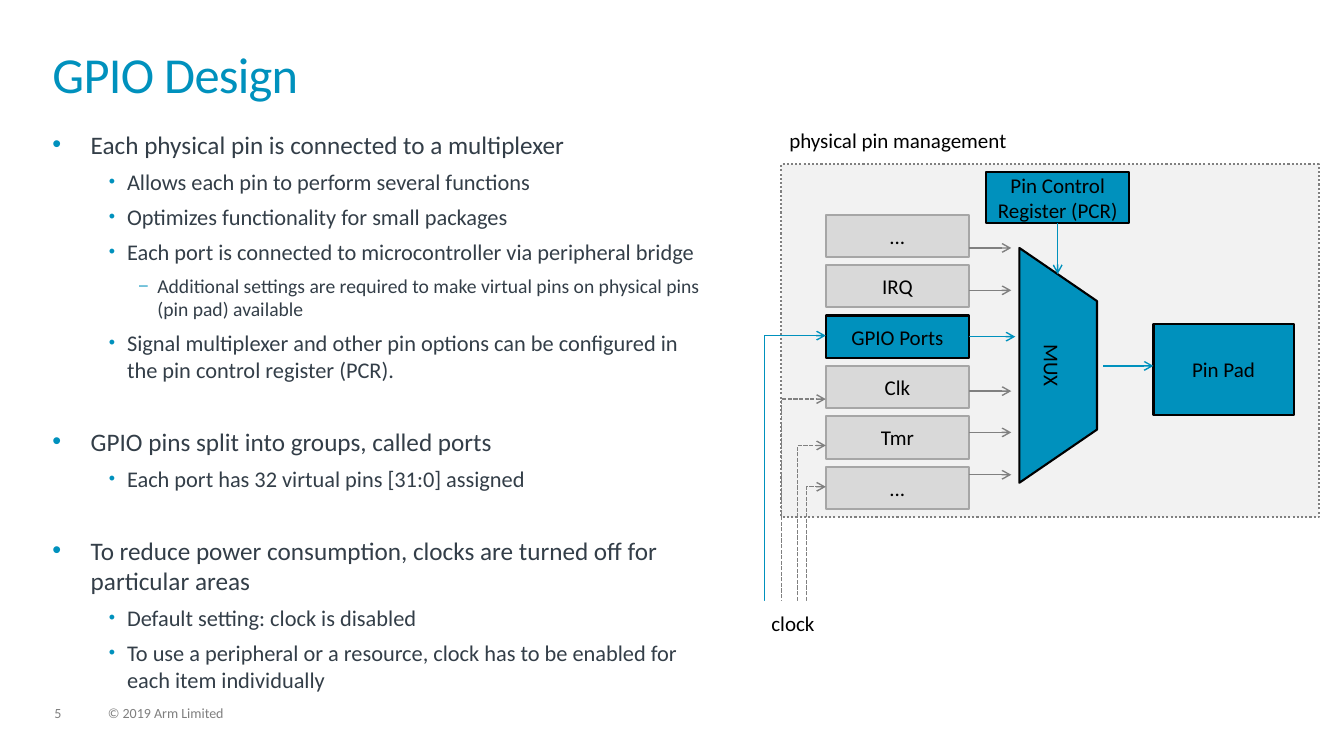
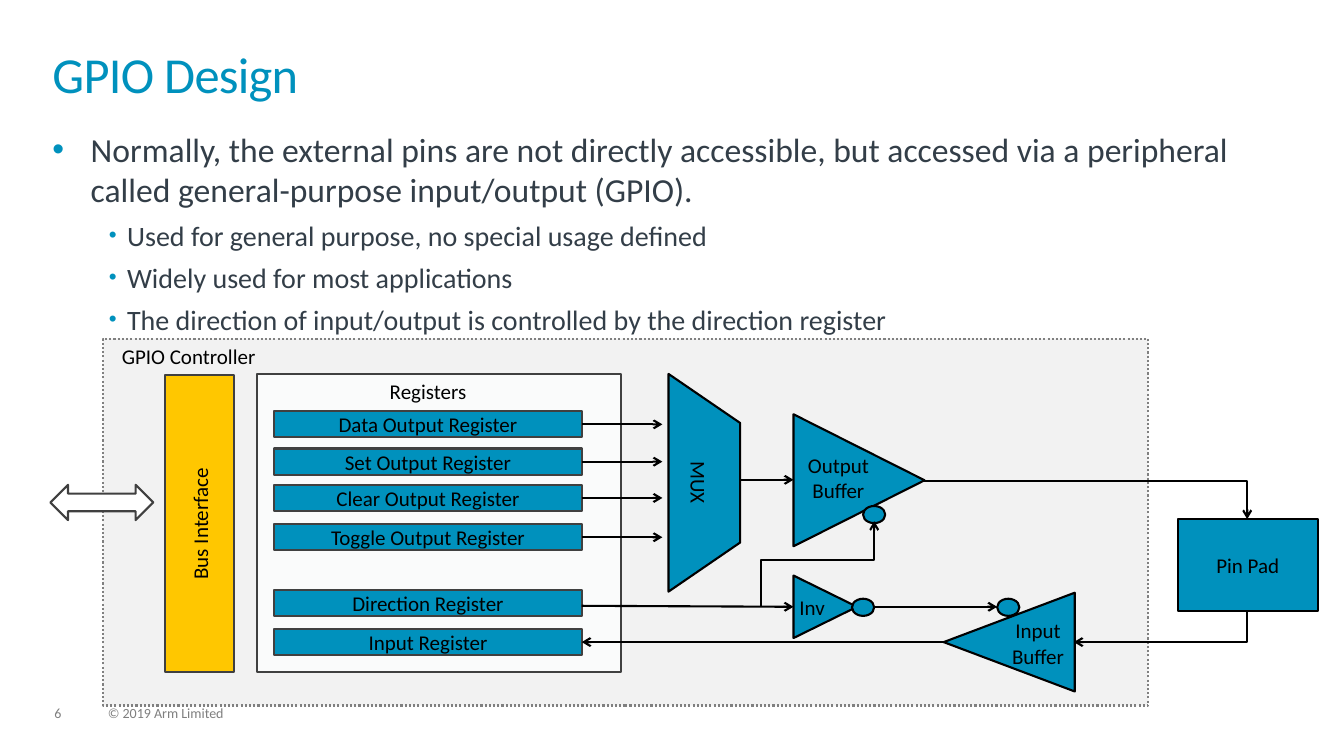
from dataclasses import dataclass
from typing import Any

from lxml import etree
from pptx import Presentation
from pptx import util as u
from pptx.dml import color
from pptx.enum import dml, shapes, text
from pptx.oxml import ns

FONT = "Calibri"
BLUE, YELLOW, WHITE, BLACK = "0091BD", "FFC700", "FFFFFF", "000000"
BODY_TEXT, FOOTER_TEXT, OUTLINE = "333E48", "7F7F7F", "404040"
PANEL, REGISTER_PANEL = "F2F2F2", "FAFBFB"
MUTED, MUTED_EDGE, GRAY = "D9D9D9", "A6A6A6", "808080"
DOTTED, DASHED = dml.MSO_LINE.ROUND_DOT, dml.MSO_LINE.SQUARE_DOT
SHAPE = shapes.MSO_SHAPE
CENTER, LEFT = text.PP_ALIGN.CENTER, text.PP_ALIGN.LEFT
BOTTOM_SIDE, RIGHT_SIDE = 2, 3
LABEL_SIZE = 15
BULLETS = [("•", 0.38, 0.38, 100), ("•", 0.74, 0.18, 80), ("–", 1.04, 0.18, 80)]


def rgb(value):
    return color.RGBColor.from_string(value)


def child(parent, tag, **attributes):
    return etree.SubElement(parent, ns.qn(tag), attributes)


def style_runs(paragraph, size, hex_color):
    for run in paragraph.runs:
        run.font.name = FONT
        run.font.size = u.Pt(size)
        run.font.color.rgb = rgb(hex_color)


def write(frame, content, size=LABEL_SIZE, hex_color=BLACK, align=LEFT):
    frame.text = content
    for paragraph in frame.paragraphs:
        paragraph.alignment = align
        style_runs(paragraph, size, hex_color)


def remove_insets(frame):
    frame.margin_left = frame.margin_right = 0
    frame.margin_top = frame.margin_bottom = 0


def add_text_area(slide, left, top, width, height):
    area = slide.shapes.add_textbox(*map(u.Inches, (left, top, width, height)))
    remove_insets(area.text_frame)
    area.text_frame.word_wrap = True
    return area.text_frame


@dataclass
class Region:
    slide: Any
    left: float
    top: float

    def point(self, x, y):
        return u.Inches(self.left + x), u.Inches(self.top + y)

    def block(self, box, content="", fill=BLUE, edge=BLACK, kind=SHAPE.RECTANGLE, angle=0):
        left, top, width, height = box
        if angle in (90, 270):
            left, top = left + (width - height) / 2, top + (height - width) / 2
            width, height = height, width
        shape = self.slide.shapes.add_shape(
            kind, *self.point(left, top), u.Inches(width), u.Inches(height))
        shape.rotation = angle
        shape.shadow.inherit = False
        shape.fill.solid()
        shape.fill.fore_color.rgb = rgb(fill)
        if edge:
            shape.line.color.rgb = rgb(edge)
            shape.line.width = u.Pt(1.5)
        else:
            shape.line.fill.background()
        if content:
            frame = shape.text_frame
            frame.word_wrap = False
            frame.vertical_anchor = text.MSO_ANCHOR.MIDDLE
            write(frame, content, align=CENTER)
        return shape

    def panel(self, width, height):
        shape = self.block((0, 0, width, height), fill=PANEL, edge=GRAY)
        shape.line.dash_style = DOTTED

    def mux(self, box):
        shape = self.block(box, "MUX", kind=SHAPE.TRAPEZOID, angle=90)
        shape.adjustments[0] = 0.685

    def pin_pad(self, left, top):
        self.block((left, top, 1.39, 0.91), "Pin Pad")

    def label(self, box, content, align=LEFT):
        left, top, width, height = box
        shape = self.slide.shapes.add_textbox(
            *self.point(left, top), u.Inches(width), u.Inches(height))
        shape.text_frame.word_wrap = True
        write(shape.text_frame, content, align=align)

    def connector(self, kind, start, end, hex_color, width, dash):
        line = self.slide.shapes.add_connector(kind, *self.point(*start), *self.point(*end))
        line.line.color.rgb = rgb(hex_color)
        line.line.width = u.Pt(width)
        if dash:
            line.line.dash_style = dash
        properties = line._element.spPr
        child(properties.find(ns.qn("a:ln")), "a:tailEnd", type="arrow")
        child(properties, "a:effectLst")
        return line

    def arrow(self, start, end, hex_color=BLACK, width=1.5):
        return self.connector(
            shapes.MSO_CONNECTOR.STRAIGHT, start, end, hex_color, width, None)

    def elbow(self, start, end, hex_color=BLACK, width=1.5, dash=None,
              vertical_first=True, bend=None):
        if vertical_first:
            (x1, y1), (x2, y2) = start, end
            middle_x, middle_y = (x1 + x2) / 2, (y1 + y2) / 2
            half_run, half_rise = (y2 - y1) / 2, (x1 - x2) / 2
            start = middle_x - half_run, middle_y - half_rise
            end = middle_x + half_run, middle_y + half_rise
        line = self.connector(
            shapes.MSO_CONNECTOR.ELBOW, start, end, hex_color, width, dash)
        properties = line._element.spPr
        if vertical_first:
            properties.find(ns.qn("a:xfrm")).set("rot", "5400000")
        geometry = properties.find(ns.qn("a:prstGeom"))
        if bend is None:
            geometry.set("prst", "bentConnector2")
        else:
            guides = geometry.find(ns.qn("a:avLst"))
            if guides is None:
                guides = child(geometry, "a:avLst")
            child(guides, "a:gd", name="adj1", fmla=f"val {round(bend * 100000)}")


def add_bullets(slide, width, items, sizes, group_gap=6):
    frame = add_text_area(slide, 0.52, 1.28, width, 5.41)
    for index, (level, content) in enumerate(items):
        paragraph = frame.paragraphs[0] if index == 0 else frame.add_paragraph()
        paragraph.text = content
        paragraph.level = level
        mark, margin, hanging, percent = BULLETS[level]
        properties = paragraph._p.get_or_add_pPr()
        properties.set("marL", str(u.Inches(margin)))
        properties.set("indent", str(-u.Inches(hanging)))
        child(child(properties, "a:buClr"), "a:srgbClr", val=BLUE)
        child(properties, "a:buSzPct", val=str(percent * 1000))
        child(properties, "a:buFont", typeface="Arial")
        child(properties, "a:buChar", char=mark)
        if index:
            paragraph.space_before = u.Pt(6 if level else group_gap)
        style_runs(paragraph, sizes[level], BODY_TEXT)


def add_base_slide(presentation, number):
    slide = presentation.slides.add_slide(presentation.slide_layouts[6])
    for left, width, content in ((0.54, 0.34, str(number)), (1.07, 5.07, "© 2019 Arm Limited")):
        footer = add_text_area(slide, left, 7.01, width, 0.15)
        write(footer, content, 10, FOOTER_TEXT)
        footer.paragraphs[0].line_spacing = 0.9
    title = add_text_area(slide, 0.52, 0.52, 12.28, 0.72)
    write(title, "GPIO Design", 36, BLUE)
    paragraph = title.paragraphs[0]
    paragraph.line_spacing = 0.85
    paragraph.runs[0].font._element.set("spc", "-50")
    return slide


def add_pin_management(slide, left, top):
    region = Region(slide, left, top)
    region.panel(5.33, 3.5)
    region.mux((2.36, 0.83, 0.77, 2.33))

    sources = {}
    for index, name in enumerate(("...", "IRQ", "GPIO Ports", "Clk", "Tmr", "...")):
        fill, edge = (BLUE, BLACK) if name == "GPIO Ports" else (MUTED, MUTED_EDGE)
        sources[name] = region.block((0.44, 0.5 + 0.5 * index, 1.42, 0.42), name, fill, edge)
    region.pin_pad(3.69, 1.58)
    control = region.block((2.03, 0.08, 1.42, 0.5), "Pin Control\nRegister (PCR)")

    region.arrow((2.74, 0.58), (2.74, 1.09), BLUE, 1).begin_connect(control, BOTTOM_SIDE)
    gpio_arrow = region.arrow((1.86, 1.71), (2.32, 1.71), BLUE, 1)
    gpio_arrow.begin_connect(sources["GPIO Ports"], RIGHT_SIDE)
    region.arrow((3.19, 2), (3.69, 2), BLUE, 1)
    for y in (0.83, 1.25, 2.25, 2.66, 3.08):
        region.arrow((1.86, y), (2.28, y), GRAY, 1)
    region.label((-0.02, -0.41, 3.05, 0.35), "physical pin management")

    region.elbow((-0.17, 4.41), (0.44, 1.7), BLUE, 1)
    for x, bottom, y in ((0, 4.36, 2.33), (0.16, 4.33, 2.79), (0.25, 4.33, 3.2)):
        region.elbow((x, bottom), (0.44, y), GRAY, 1, DASHED)
    clock = region.block((-0.19, 4.33, 0.61, 0.45), "clock", WHITE, None)
    remove_insets(clock.text_frame)


def add_register_bank(region):
    region.block((1.53, 0.35, 3.61, 2.96), fill=REGISTER_PANEL, edge=OUTLINE)
    region.label((1.7, 0.35, 3.05, 0.35), "Registers", CENTER)
    tops = {
        "Data Output": 0.72, "Set Output": 1.09, "Clear Output": 1.45,
        "Toggle Output": 1.84, "Direction": 2.49, "Input": 2.88,
    }
    for name, top in tops.items():
        register = region.block((1.7, top, 3.05, 0.26), f"{name} Register", edge=OUTLINE)
        y = top + 0.13
        if name.endswith("Output"):
            region.arrow((4.75, y), (5.55, y)).begin_connect(register, RIGHT_SIDE)
        elif name == "Input":
            region.arrow((8.34, y), (4.75, y)).end_connect(register, RIGHT_SIDE)
        else:
            region.arrow((4.75, 2.65), (6.85, 2.66))


def add_gpio_controller(slide, left, top):
    region = Region(slide, left, top)
    region.panel(10.37, 3.64)
    region.label((0.09, 0, 2.41, 0.35), "GPIO Controller")
    bus = region.block((0.62, 0.36, 0.68, 2.95), "Bus Interface", YELLOW, OUTLINE)
    bus.text_frame._txBody.bodyPr.set("vert", "vert270")
    region.block((-0.52, 1.45, 1.02, 0.35), fill=WHITE, edge=OUTLINE,
                 kind=SHAPE.LEFT_RIGHT_ARROW)
    add_register_bank(region)
    region.mux((5.61, 0.35, 0.71, 2.16))

    buffers = (
        ((6.85, 0.75, 1.3, 1.31), 90, (6.72, 1.08, 1.15, 0.61), "Output Buffer", CENTER),
        ((8.34, 2.52, 1.3, 0.98), 270, (8.7, 2.72, 1.15, 0.61), "Input Buffer", CENTER),
        ((6.85, 2.35, 0.63, 0.62), 90, (6.81, 2.49, 0.68, 0.35), "Inv", LEFT),
    )
    for box, angle, label_box, name, align in buffers:
        region.block(box, kind=SHAPE.ISOSCELES_TRIANGLE, angle=angle)
        region.label(label_box, name, align)
    for x, y in ((7.43, 2.58), (8.87, 2.58), (7.54, 1.66)):
        region.block((x, y, 0.22, 0.17), kind=SHAPE.FLOWCHART_CONNECTOR)
    region.pin_pad(10.66, 1.79)

    region.arrow((6.31, 1.4), (6.85, 1.4))
    region.arrow((7.65, 2.66), (8.87, 2.66))
    region.elbow((6.53, 2.66), (7.65, 1.81), bend=0.55)
    region.elbow((11.35, 2.7), (9.63, 3.01))
    region.elbow((8.14, 1.41), (11.35, 1.79), vertical_first=False)


def main():
    presentation = Presentation()
    presentation.slide_width = u.Inches(13.33)
    presentation.slide_height = u.Inches(7.5)

    slide = add_base_slide(presentation, 5)
    add_bullets(slide, 6.52, [
        (0, "Each physical pin is connected to a multiplexer"),
        (1, "Allows each pin to perform several functions"),
        (1, "Optimizes functionality for small packages"),
        (1, "Each port is connected to microcontroller via peripheral bridge"),
        (2, "Additional settings are required to make virtual pins on physical pins "
            "(pin pad) available"),
        (1, "Signal multiplexer and other pin options can be configured in the pin "
            "control register (PCR)."),
        (0, "GPIO pins split into groups, called ports"),
        (1, "Each port has 32 virtual pins [31:0] assigned"),
        (0, "To reduce power consumption, clocks are turned off for particular areas"),
        (1, "Default setting: clock is disabled"),
        (1, "To use a peripheral or a resource, clock has to be enabled for each item "
            "individually"),
    ], (18, 16, 14), 31)
    add_pin_management(slide, 7.75, 1.63)

    slide = add_base_slide(presentation, 6)
    add_bullets(slide, 12.28, [
        (0, "Normally, the external pins are not directly accessible, but accessed via a "
            "peripheral called general-purpose input/output (GPIO)."),
        (1, "Used for general purpose, no special usage defined"),
        (1, "Widely used for most applications"),
        (1, "The direction of input/output is controlled by the direction register"),
    ], (24, 20))
    add_gpio_controller(slide, 1.02, 3.36)

    presentation.save("out.pptx")


if __name__ == "__main__":
    main()
